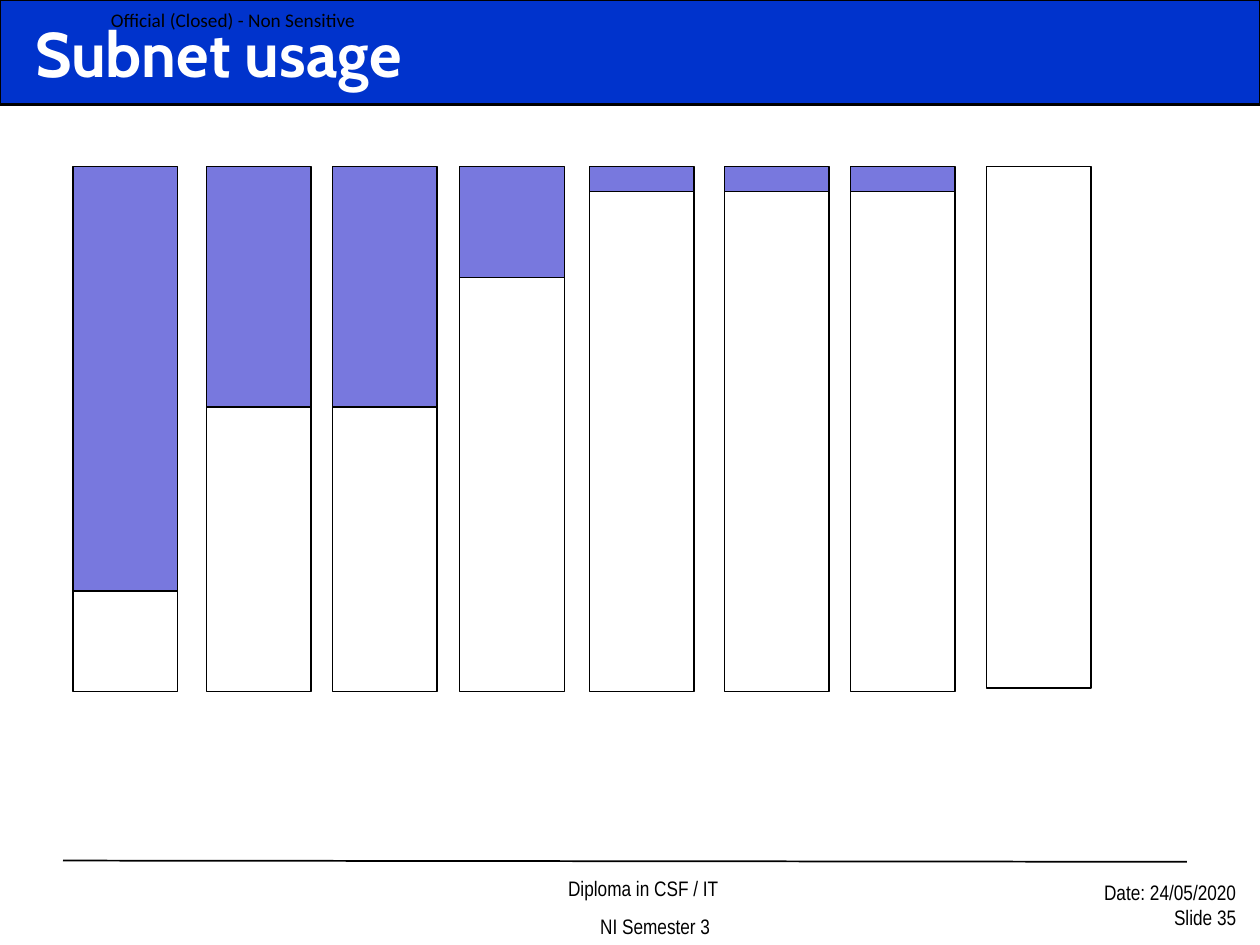
"""Build the subnet usage slide, with one bar of used and free space per subnet."""
from dataclasses import dataclass
from typing import Optional

from lxml import etree
from pptx import Presentation
from pptx.dml.color import RGBColor
from pptx.enum import shapes, text
from pptx.oxml.ns import qn
from pptx.util import Inches, Pt

BLACK, WHITE, BLUE, VIOLET = "000000", "FFFFFF", "0033CC", "7878DE"
BAR_TOP, BAR_WIDTH = 1.32, 0.83


@dataclass
class Subnet:
    left: float
    used: float
    bottom: float = 5.49


@dataclass
class Line:
    text: str
    indent: float = 0
    before: float = 0


@dataclass
class Label:
    box: tuple[float, float, float, float]
    lines: list[Line]
    size: float
    font: str
    align: text.PP_ALIGN = text.PP_ALIGN.LEFT
    anchor: text.MSO_ANCHOR = text.MSO_ANCHOR.MIDDLE
    color: str = BLACK
    bold: bool = False
    inset: tuple[float, float] = (0.1, 0.05)


SUBNETS = [
    Subnet(0.58, 3.37),
    Subnet(1.64, 1.91),
    Subnet(2.64, 1.91),
    Subnet(3.65, 0.88),
    Subnet(4.68, 0.2),
    Subnet(5.75, 0.2),
    Subnet(6.75, 0.2),
    Subnet(7.83, 0, bottom=5.46),
]

LABELS = [
    Label((3.33, 7.08, 3.08, 0.42),
          [Line("Diploma in CSF / IT", 0.47), Line("NI Semester 3", 0.66, 7.5)],
          12, "Arial Narrow", text.PP_ALIGN.CENTER, text.MSO_ANCHOR.BOTTOM),
    Label((8.58, 6.93, 1.33, 0.5),
          [Line("Date: 24/05/2020"), Line("Slide 35")],
          12, "Arial Narrow", text.PP_ALIGN.RIGHT, text.MSO_ANCHOR.TOP),
    Label((0.88, 0, 2.13, 0.31), [Line("Official (Closed) - Non Sensitive")],
          11, "Calibri", inset=(0, 0)),
    Label((0.18, 0.04, 9.82, 0.75), [Line("Subnet usage")],
          36, "Cabin", color=WHITE, bold=True),
]


def rgb(value: str) -> RGBColor:
    return RGBColor.from_string(value)


def add_rect(s, left: float, top: float, width: float, height: float,
             fill: Optional[str] = None, weight: float = 0.75) -> None:
    sp = s.shapes.add_shape(shapes.MSO_SHAPE.RECTANGLE, Inches(left), Inches(top),
                            Inches(width), Inches(height))
    sp.shadow.inherit = False
    if fill:
        sp.fill.solid()
        sp.fill.fore_color.rgb = rgb(fill)
    else:
        sp.fill.background()
    sp.line.color.rgb = rgb(BLACK)
    sp.line.width = Pt(weight)


def add_subnet(s, subnet: Subnet) -> None:
    split = BAR_TOP + subnet.used
    add_rect(s, subnet.left, split, BAR_WIDTH, subnet.bottom - split)
    if subnet.used:
        add_rect(s, subnet.left, BAR_TOP, BAR_WIDTH, subnet.used, VIOLET)


def add_label(s, label: Label) -> None:
    tf = s.shapes.add_textbox(*map(Inches, label.box)).text_frame
    tf.word_wrap = True
    tf.vertical_anchor = label.anchor
    tf.margin_left = tf.margin_right = Inches(label.inset[0])
    tf.margin_top = tf.margin_bottom = Inches(label.inset[1])
    for i, line in enumerate(label.lines):
        p = tf.add_paragraph() if i else tf.paragraphs[0]
        p.alignment = label.align
        if line.indent:
            p._p.get_or_add_pPr().set("marL", str(Inches(line.indent)))
        if line.before:
            p.space_before = Pt(line.before)
        r = p.add_run()
        r.text = line.text
        r.font.size = Pt(label.size)
        r.font.name = label.font
        r.font.bold = label.bold
        r.font.color.rgb = rgb(label.color)


def add_rule(s) -> None:
    rule = s.shapes.add_connector(shapes.MSO_CONNECTOR.STRAIGHT, Inches(0.5),
                                  Inches(6.83), Inches(9.42), Inches(6.84))
    rule.line.color.rgb = rgb(BLACK)
    rule.line.width = Pt(1)
    etree.SubElement(rule._element.spPr, qn("a:effectLst"))


def main() -> None:
    prs = Presentation()
    prs.slide_width, prs.slide_height = Inches(10), Inches(7.5)
    s = prs.slides.add_slide(prs.slide_layouts[6])
    add_rule(s)
    add_rect(s, 0, 0, 10, 0.83, BLUE, 1.5)
    for label in LABELS:
        add_label(s, label)
    for subnet in SUBNETS:
        add_subnet(s, subnet)
    prs.save("out.pptx")


if __name__ == "__main__":
    main()
